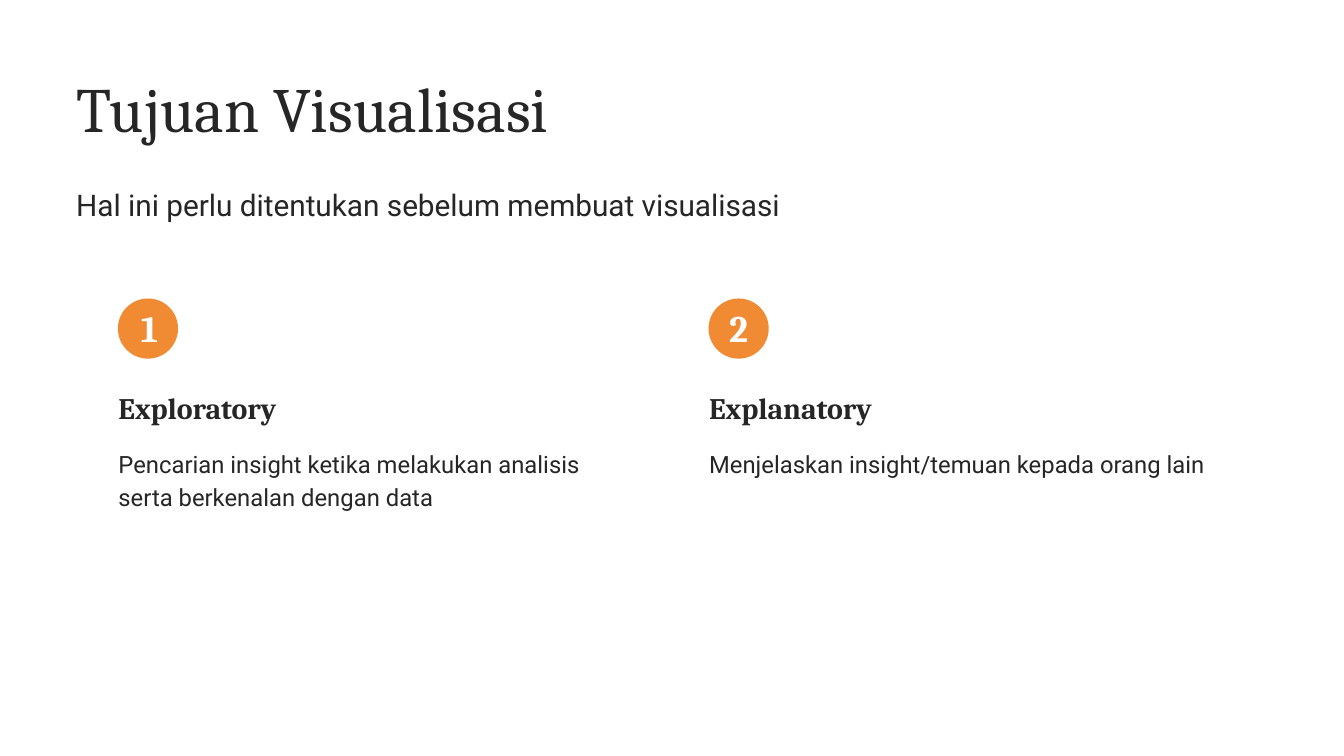
from dataclasses import dataclass

from lxml.etree import SubElement
from pptx import Presentation
from pptx.dml.color import RGBColor
from pptx.enum.shapes import MSO_SHAPE
from pptx.enum.text import MSO_ANCHOR, MSO_AUTO_SIZE, PP_ALIGN
from pptx.oxml.ns import qn
from pptx.shapes.base import BaseShape
from pptx.slide import Slide
from pptx.text.text import TextFrame
from pptx.util import Pt

COLORS = {"ink": "262626", "accent": "F08B33", "paper": "FFFFFF"}
SERIF, SANS = "Cambria", "Roboto"
BADGE_TOP, BADGE_SIZE = 213.2, 43


@dataclass(frozen=True)
class Line:
    text: str
    size: float
    font: str
    color: str = "ink"
    bold: bool = False
    indent: float = 0.9
    before: float = 0
    spacing: float = 1.0


@dataclass(frozen=True)
class Purpose:
    number: str
    heading: str
    description: str
    left: float
    height: float
    number_indent: float


PURPOSES = [
    Purpose("1", "Exploratory",
            "Pencarian insight ketika melakukan analisis serta berkenalan dengan data",
            83.7, 149, 17),
    Purpose("2", "Explanatory", "Menjelaskan insight/temuan kepada orang lain",
            505.6, 125.3, 15.3),
]


def place(shape: BaseShape, left: float, top: float, width: float, height: float) -> None:
    shape.left, shape.top = Pt(left), Pt(top)
    shape.width, shape.height = Pt(width), Pt(height)


def write(frame: TextFrame, lines: list[Line]) -> None:
    frame.word_wrap = True
    frame.auto_size = MSO_AUTO_SIZE.NONE
    frame.vertical_anchor = MSO_ANCHOR.TOP
    frame.margin_left = frame.margin_right = frame.margin_bottom = 0
    frame.margin_top = Pt(0.9)
    for index, line in enumerate(lines):
        paragraph = frame.add_paragraph() if index else frame.paragraphs[0]
        paragraph.alignment = PP_ALIGN.LEFT
        paragraph.space_before = Pt(line.before)
        paragraph.space_after = Pt(0)
        paragraph.line_spacing = line.spacing
        # Left indent without a bullet
        properties = paragraph._p.get_or_add_pPr()
        properties.set("marL", str(int(Pt(line.indent))))
        properties.set("indent", "0")
        SubElement(properties, qn("a:buNone"))
        run = paragraph.add_run()
        run.text = line.text
        run.font.name = line.font
        run.font.size = Pt(line.size)
        run.font.bold = line.bold
        run.font.color.rgb = RGBColor.from_string(COLORS[line.color])


def draw_badge(slide: Slide, left: float) -> None:
    badge = slide.shapes.add_shape(
        MSO_SHAPE.OVAL, Pt(left + 0.5), Pt(BADGE_TOP), Pt(BADGE_SIZE), Pt(BADGE_SIZE))
    badge.shadow.inherit = False
    badge.fill.solid()
    badge.fill.fore_color.rgb = RGBColor.from_string(COLORS["accent"])
    badge.line.fill.background()
    # Behind the number, which sits in the column text
    slide.shapes._spTree.insert(2, badge._element)


def draw_purpose(slide: Slide, column: BaseShape, purpose: Purpose) -> None:
    draw_badge(slide, purpose.left)
    place(column, purpose.left, 216.7, 365.5, purpose.height)
    write(column.text_frame, [
        Line(purpose.number, 26.7, SERIF, "paper", True, purpose.number_indent),
        Line(purpose.heading, 21.3, SERIF, bold=True, before=28.4),
        Line(purpose.description, 17, SANS, before=14.2, spacing=1.16),
    ])


def main() -> None:
    presentation = Presentation()
    presentation.slide_width, presentation.slide_height = Pt(960), Pt(540)
    slide = presentation.slides.add_slide(presentation.slide_layouts[3])
    title, *columns = slide.placeholders

    # Title and introduction
    place(title, 53.5, 49, 656, 55.5)
    write(title.text_frame, [Line("Tujuan Visualisasi", 45, SERIF)])
    introduction = slide.shapes.add_textbox(Pt(53.5), Pt(132.5), Pt(575), Pt(26.6))
    write(introduction.text_frame, [
        Line("Hal ini perlu ditentukan sebelum membuat visualisasi", 21.3, SANS)])

    # Two numbered purposes
    for column, purpose in zip(columns, PURPOSES):
        draw_purpose(slide, column, purpose)

    presentation.save("out.pptx")


if __name__ == "__main__":
    main()
